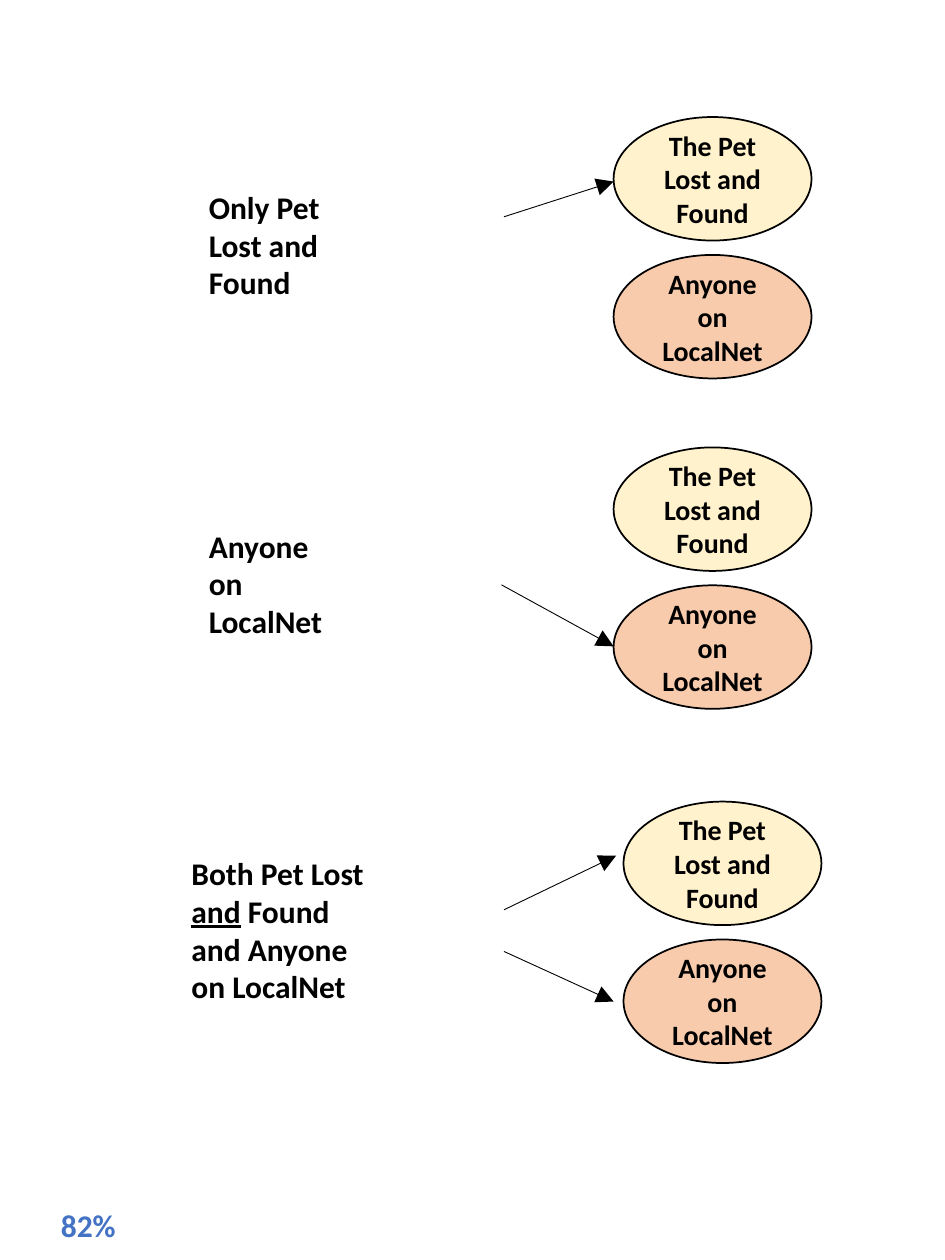
"""Builds a slide matching three answers to the groups they reach."""
from lxml import etree
from pptx import Presentation
from pptx.dml.color import RGBColor
from pptx.enum.shapes import MSO_CONNECTOR, MSO_SHAPE
from pptx.enum.text import MSO_ANCHOR, MSO_AUTO_SIZE, PP_ALIGN
from pptx.oxml.ns import qn
from pptx.util import Cm, Pt

OVAL = MSO_SHAPE.OVAL
STRAIGHT = MSO_CONNECTOR.STRAIGHT
MIDDLE = MSO_ANCHOR.MIDDLE
GROW = MSO_AUTO_SIZE.SHAPE_TO_FIT_TEXT
CENTER, LEFT = PP_ALIGN.CENTER, PP_ALIGN.LEFT

COLORS = {"ink": "000000", "pet": "FFF2CC", "anyone": "F8CBAD", "percent": "4472C4"}
FONT = "Calibri"
GROUPS = [("The Pet Lost and Found", "pet"), ("Anyone on LocalNet", "anyone")]
OVAL_W, OVAL_H, OVAL_STEP = 3.99, 2.49, 2.78

ANSWERS = [
    {"label": ["Only Pet Lost and Found"], "box": (3.96, 3.66, 3.07, 2.57),
     "ovals": (12.37, 2.36), "arrows": [(10.16, 4.37, 12.37, 3.66)]},
    {"label": ["Anyone on LocalNet"], "box": (3.96, 10.49, 3.07, 2.57),
     "ovals": (12.37, 9.02), "arrows": [(10.11, 11.79, 12.37, 13.03)]},
    {"label": ["Both Pet Lost ", "and", " Found and Anyone on LocalNet"],
     "box": (3.61, 17.09, 3.99, 3.33), "ovals": (12.57, 16.16),
     "arrows": [(10.16, 18.34, 12.42, 17.25), (10.16, 19.18, 12.37, 20.19)]},
]


def rgb(name):
    """Return the named colour."""
    return RGBColor.from_string(COLORS[name])


def add_run(p, text, size, color="ink"):
    """Add a bold run and return it."""
    r = p.add_run()
    r.text = text
    r.font.name, r.font.size, r.font.bold = FONT, Pt(size), True
    r.font.color.rgb = rgb(color)
    return r


def add_label(s, box, parts, color="ink", align=LEFT):
    """Add a text box, underlining every second part."""
    tf = s.shapes.add_textbox(*map(Cm, box)).text_frame
    tf.word_wrap = True
    tf.auto_size = GROW
    p = tf.paragraphs[0]
    p.alignment = align
    for i, part in enumerate(parts):
        r = add_run(p, part, 18, color)
        if i % 2:
            r.font.underline = True


def add_group(s, left, top, text, color):
    """Add an outlined oval naming a group."""
    sp = s.shapes.add_shape(OVAL, Cm(left), Cm(top), Cm(OVAL_W), Cm(OVAL_H))
    sp.shadow.inherit = False
    sp.fill.solid()
    sp.fill.fore_color.rgb = rgb(color)
    sp.line.color.rgb = rgb("ink")
    sp.line.width = Pt(1)
    tf = sp.text_frame
    tf.word_wrap = True
    tf.vertical_anchor = MIDDLE
    p = tf.paragraphs[0]
    p.alignment = CENTER
    add_run(p, text, 16)


def add_arrow(s, ends):
    """Add a thin arrow pointing at its second end."""
    cxn = s.shapes.add_connector(STRAIGHT, *map(Cm, ends))
    cxn.line.color.rgb = rgb("ink")
    cxn.line.width = Pt(0.5)
    head = etree.SubElement(cxn.line._get_or_add_ln(), qn("a:tailEnd"))
    head.set("type", "triangle")
    head.set("w", "lg")
    head.set("len", "lg")
    etree.SubElement(cxn._element.spPr, qn("a:effectLst"))


def main():
    """Build and save the slide."""
    prs = Presentation()
    prs.slide_width, prs.slide_height = Cm(19.05), Cm(25.4)
    s = prs.slides.add_slide(prs.slide_layouts[6])
    for answer in ANSWERS:
        left, top = answer["ovals"]
        for i, (text, color) in enumerate(GROUPS):
            add_group(s, left, top + i * OVAL_STEP, text, color)
        for ends in answer["arrows"]:
            add_arrow(s, ends)
        add_label(s, answer["box"], answer["label"])
    add_label(s, (0.56, 24.18, 2.44, 1.02), ["82%"], "percent", CENTER)
    prs.save("out.pptx")


if __name__ == "__main__":
    main()
